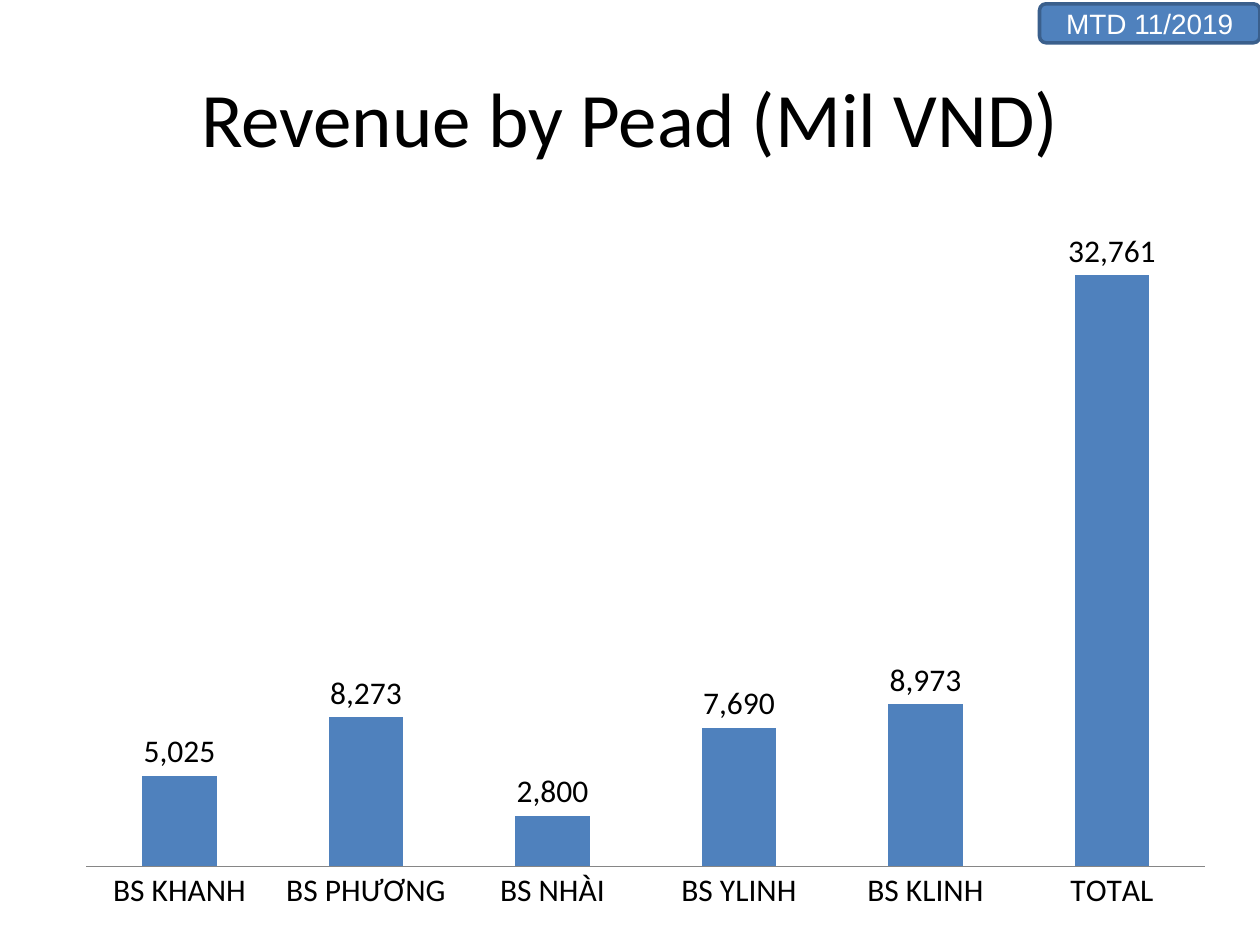
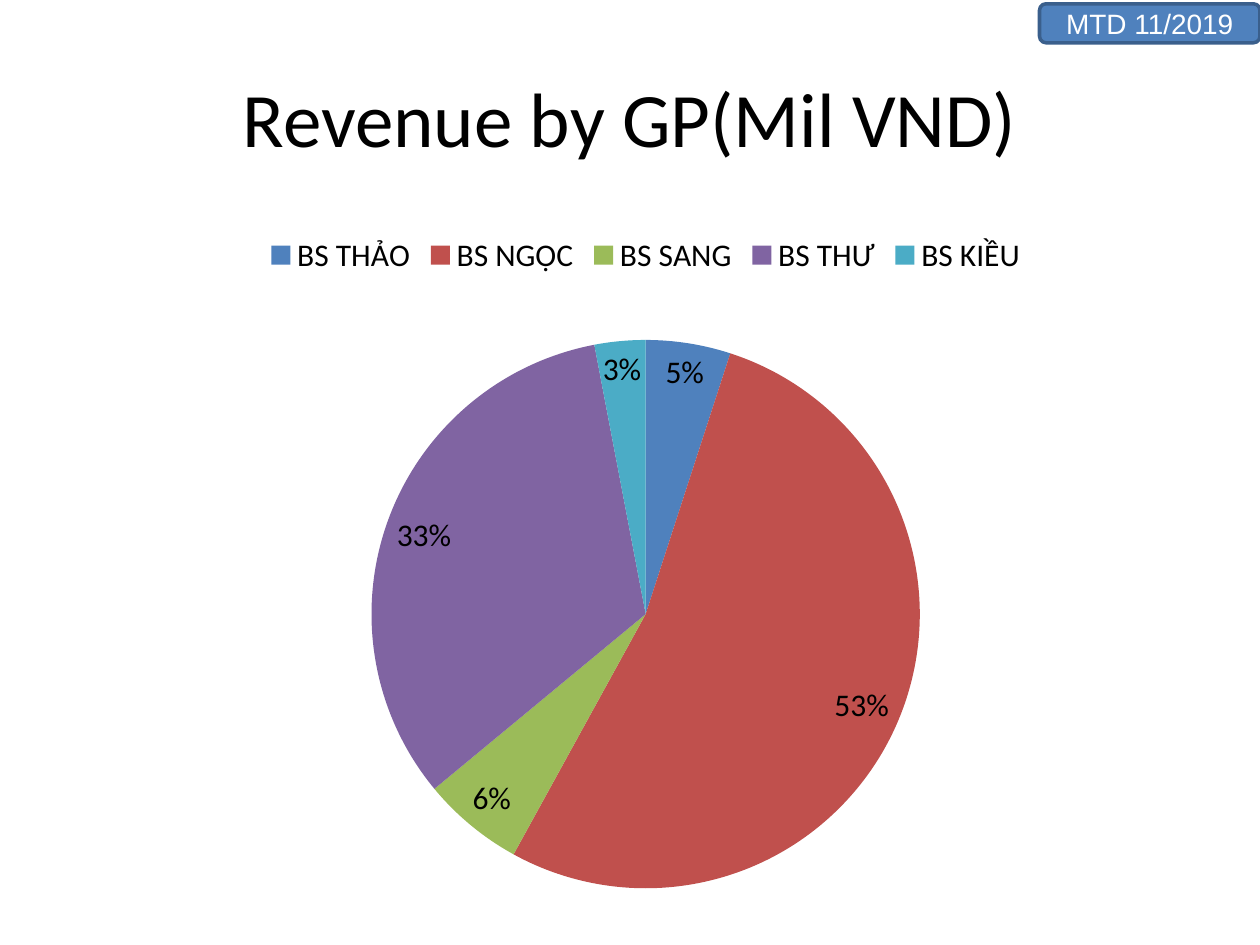
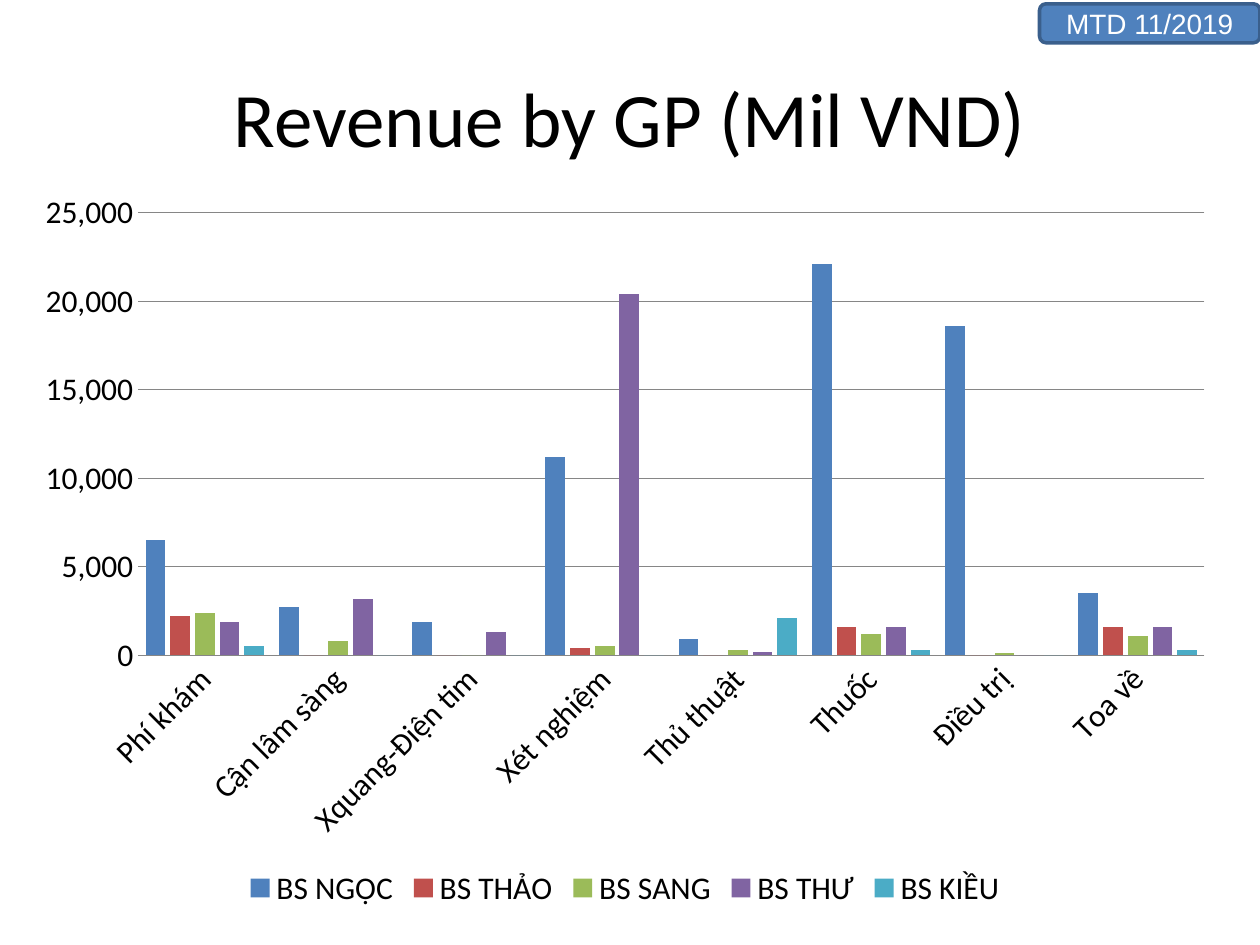
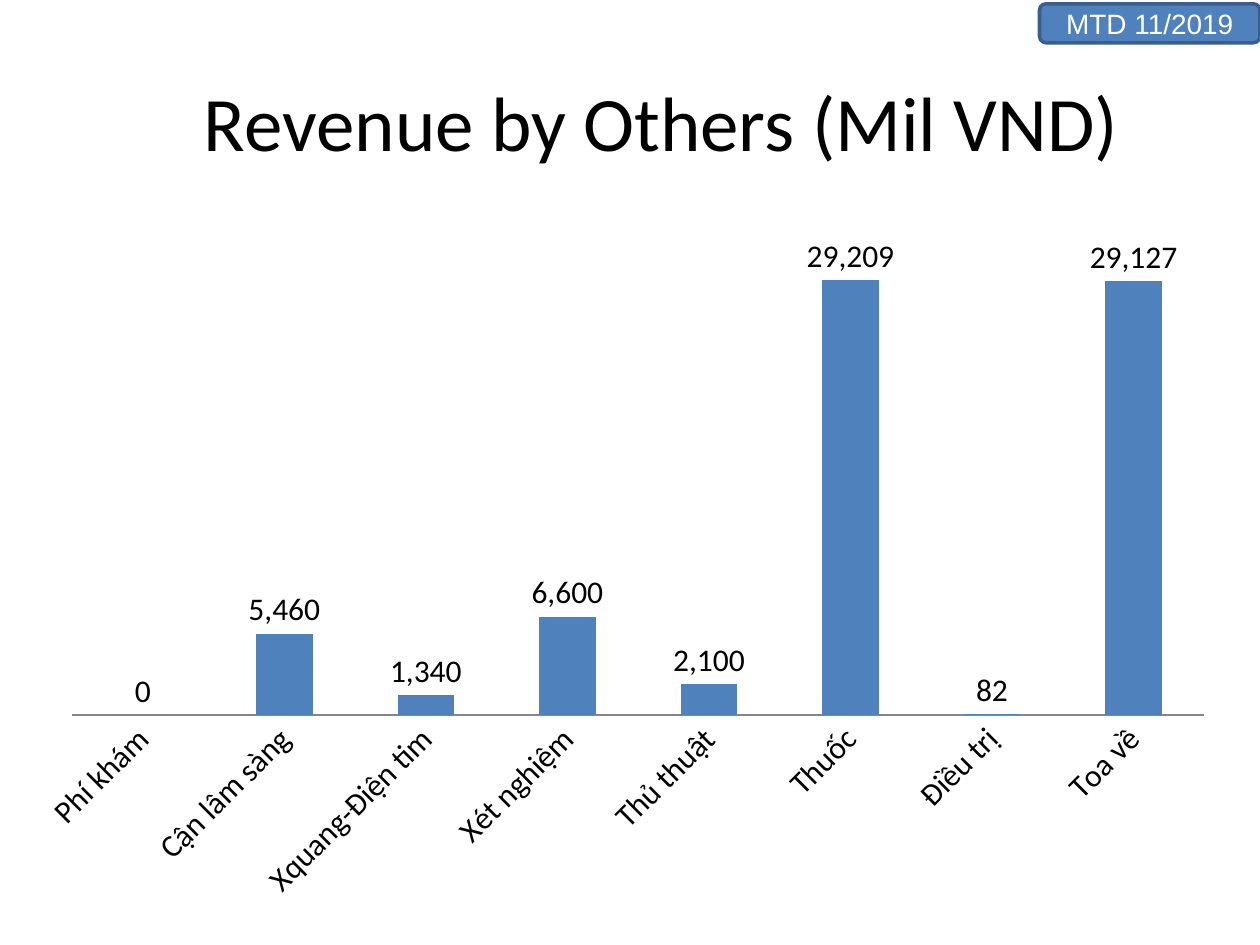
from pptx import Presentation
from pptx.chart.data import CategoryChartData
from pptx.dml.color import RGBColor
from pptx.enum.chart import XL_CHART_TYPE as ChartType
from pptx.enum.chart import XL_LABEL_POSITION as LabelPosition
from pptx.enum.chart import XL_LEGEND_POSITION as LegendPosition
from pptx.enum.chart import XL_TICK_MARK as TickMark
from pptx.enum.shapes import MSO_SHAPE as Shape
from pptx.enum.text import MSO_ANCHOR as Anchor
from pptx.enum.text import PP_ALIGN as Align
from pptx.oxml import parse_xml
from pptx.oxml.ns import nsdecls
from pptx.util import Inches, Pt

BLUE = RGBColor(0x4F, 0x81, 0xBD)
RED = RGBColor(0xC0, 0x50, 0x4D)
GREEN = RGBColor(0x9B, 0xBB, 0x59)
PURPLE = RGBColor(0x80, 0x64, 0xA2)
TEAL = RGBColor(0x4B, 0xAC, 0xC6)
DARK_BLUE = RGBColor(0x3A, 0x5F, 0x8C)
GREY = RGBColor(0x86, 0x86, 0x86)
BLACK = RGBColor(0x00, 0x00, 0x00)
WHITE = RGBColor(0xFF, 0xFF, 0xFF)
PALETTE = [BLUE, RED, GREEN, PURPLE, TEAL]

TITLE_FORMAT = {"name": "Calibri", "size": Pt(44)}
CHART_FORMAT = {"name": "Calibri", "size": Pt(18)}
BADGE_FORMAT = {"name": "Arial", "size": Pt(16)}
NUMBER_FORMAT = "#,##0"

TITLE_BOX = (0.5, 0.3, 9, 1.25)
SHIFTED_TITLE_BOX = (0.75, 0.33, 9, 1.25)
CHART_BOX = (0.5, 1.75, 9.25, 5.58)
WIDE_CHART_BOX = (0.17, 1.42, 9.58, 5.83)
PIE_AREA = {"x": 0.26, "y": 0.17, "w": 0.48, "h": 0.78}

SERVICES = ["Phí khám", "Cận lâm sàng", "Xquang-Điện tim", "Xét nghiệm",
            "Thủ thuật", "Thuốc", "Điều trị", "Toa về"]

SLIDES = [
    {"title": "Revenue by Pead (Mil VND)", "title_box": TITLE_BOX,
     "chart_box": CHART_BOX, "type": ChartType.COLUMN_CLUSTERED,
     "categories": ["BS KHANH", "BS PHƯƠNG", "BS NHÀI", "BS YLINH",
                    "BS KLINH", "TOTAL"],
     "series": {"Series 1": [5025, 8273, 2800, 7690, 8973, 32761]}},
    {"title": "Revenue by GP(Mil VND)", "title_box": TITLE_BOX,
     "chart_box": CHART_BOX, "type": ChartType.PIE,
     "legend": LegendPosition.TOP,
     "categories": ["BS THẢO", "BS NGỌC", "BS SANG", "BS THƯ", "BS KIỀU"],
     "series": {"Series 1": [5, 53, 6, 33, 3]}},
    {"title": "Revenue by GP (Mil VND)", "title_box": TITLE_BOX,
     "chart_box": WIDE_CHART_BOX, "type": ChartType.COLUMN_CLUSTERED,
     "legend": LegendPosition.BOTTOM,
     "categories": SERVICES,
     "series": {"BS NGỌC": [6500, 2700, 1900, 11200, 900, 22100, 18600, 3500],
                "BS THẢO": [2200, 0, 0, 400, 0, 1600, 0, 1600],
                "BS SANG": [2400, 800, 0, 500, 300, 1200, 100, 1100],
                "BS THƯ": [1900, 3200, 1300, 20400, 200, 1600, 0, 1600],
                "BS KIỀU": [500, 0, 0, 0, 2100, 300, 0, 300]}},
    {"title": "Revenue by Others (Mil VND)", "title_box": SHIFTED_TITLE_BOX,
     "chart_box": WIDE_CHART_BOX, "type": ChartType.COLUMN_CLUSTERED,
     "categories": SERVICES,
     "series": {"Series 1": [0, 5460, 1340, 6600, 2100, 29209, 82, 29127]}},
]


def format_font(font, values, color):
    for name, value in values.items():
        setattr(font, name, value)
    font.color.rgb = color


def place_plot_area(chart, area):
    plot_area = chart.element.xpath(".//c:plotArea")[0]
    for old_layout in plot_area.xpath("./c:layout"):
        plot_area.remove(old_layout)
    modes = '<c:xMode val="edge"/><c:yMode val="edge"/>'
    sizes = "".join(f'<c:{name} val="{value}"/>' for name, value in area.items())
    plot_area.insert(0, parse_xml(
        f'<c:layout {nsdecls("c")}><c:manualLayout><c:layoutTarget val="inner"/>'
        f'{modes}{sizes}</c:manualLayout></c:layout>'))


presentation = Presentation()
presentation.slide_width = Inches(10)
presentation.slide_height = Inches(7.5)
layout = presentation.slide_layouts[5]

for content in SLIDES:
    slide = presentation.slides.add_slide(layout)

    title = slide.shapes.title
    title.left, title.top, title.width, title.height = map(Inches, content["title_box"])
    title.text_frame.text = content["title"]
    title.text_frame.vertical_anchor = Anchor.MIDDLE
    paragraph = title.text_frame.paragraphs[0]
    paragraph.alignment = Align.CENTER
    format_font(paragraph.runs[0].font, TITLE_FORMAT, BLACK)

    chart_data = CategoryChartData(number_format=NUMBER_FORMAT)
    chart_data.categories = content["categories"]
    for name, values in content["series"].items():
        chart_data.add_series(name, values)
    chart = slide.shapes.add_chart(
        content["type"], *map(Inches, content["chart_box"]), chart_data).chart
    chart.has_title = False
    format_font(chart.font, CHART_FORMAT, BLACK)

    chart.has_legend = "legend" in content
    if chart.has_legend:
        chart.legend.position = content["legend"]
        chart.legend.include_in_layout = False

    plot = chart.plots[0]
    is_pie = content["type"] == ChartType.PIE
    is_single = len(content["series"]) == 1
    plot.vary_by_categories = is_pie

    if is_single:
        plot.has_data_labels = True
        labels = plot.data_labels
        labels.show_percentage = is_pie
        labels.show_value = not is_pie
        labels.number_format = "0%" if is_pie else NUMBER_FORMAT
        labels.number_format_is_linked = False
        labels.position = LabelPosition.BEST_FIT if is_pie else LabelPosition.OUTSIDE_END

    if is_pie:
        place_plot_area(chart, PIE_AREA)
        for index, color in enumerate(PALETTE):
            fill = plot.series[0].points[index].format.fill
            fill.solid()
            fill.fore_color.rgb = color
        continue

    plot.gap_width = 150 if is_single else 75
    plot.overlap = -25
    for series, color in zip(plot.series, PALETTE):
        series.format.fill.solid()
        series.format.fill.fore_color.rgb = color

    category_axis = chart.category_axis
    category_axis.major_tick_mark = TickMark.NONE
    category_axis.format.line.color.rgb = GREY
    if content["categories"] is SERVICES:
        format_font(category_axis.tick_labels.font, CHART_FORMAT, BLACK)
        label_body = chart.element.xpath(".//c:catAx/c:txPr/a:bodyPr")[0]
        label_body.set("rot", "-2700000")

    value_axis = chart.value_axis
    value_axis.visible = not is_single
    value_axis.has_major_gridlines = not is_single
    value_axis.major_tick_mark = TickMark.NONE
    value_axis.tick_labels.number_format = NUMBER_FORMAT
    value_axis.tick_labels.number_format_is_linked = False
    value_axis.format.line.fill.background()
    if not is_single:
        value_axis.major_gridlines.format.line.color.rgb = GREY

badge = presentation.slides[0].shapes.add_shape(
    Shape.ROUNDED_RECTANGLE, Inches(8.25), Inches(0.03), Inches(1.75), Inches(0.31))
badge.shadow.inherit = False
badge.fill.solid()
badge.fill.fore_color.rgb = BLUE
badge.line.color.rgb = DARK_BLUE
badge.line.width = Pt(2)
badge.text_frame.text = "MTD 11/2019"
badge.text_frame.vertical_anchor = Anchor.MIDDLE
paragraph = badge.text_frame.paragraphs[0]
paragraph.alignment = Align.CENTER
format_font(paragraph.runs[0].font, BADGE_FORMAT, WHITE)
layout.shapes.element.append(badge.element)

presentation.save("out.pptx")
